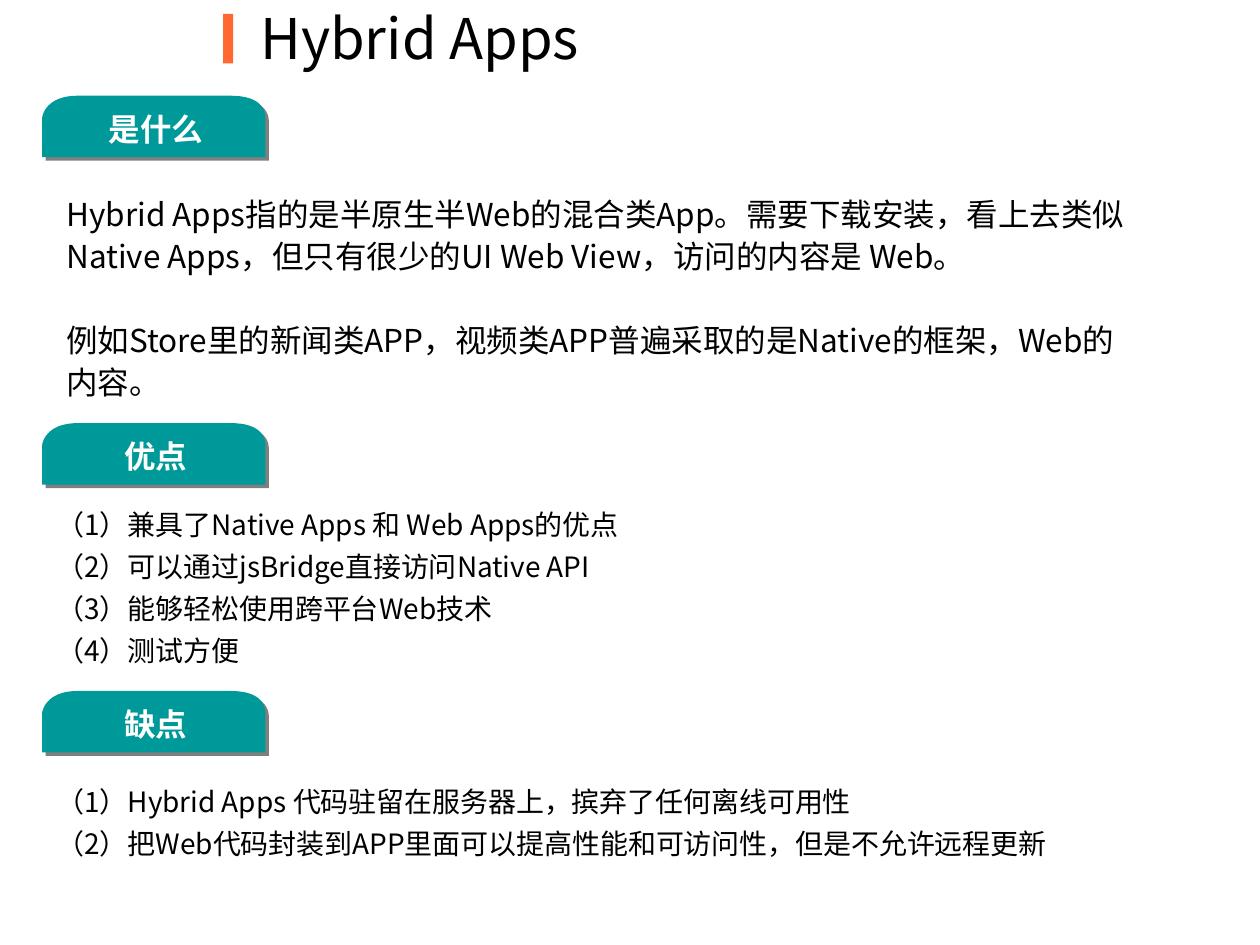
from lxml import etree
from pptx import Presentation
from pptx.dml.color import RGBColor
from pptx.enum.shapes import MSO_SHAPE as Preset
from pptx.enum.text import MSO_ANCHOR as Anchor, PP_ALIGN as Align
from pptx.oxml import parse_xml
from pptx.oxml.ns import nsdecls, qn
from pptx.util import Cm, Pt

FONT = "Noto Sans CJK SC"
COLORS = {"accent": "FF682F", "tab": "009999", "text": "000000",
          "label": "FFFFFF", "shadow": "000000"}

TAB_LEFT, TAB_WIDTH, TAB_HEIGHT = 0.85, 4.5, 1.24
LINE = Pt(24)

# heading, tab top, body box (left, top, width, height), size, gap, paragraphs
SECTIONS = [
    ("是什么", 1.93, (1.09, 3.73, 22, 4.52), 18, LINE, [
        "Hybrid Apps指的是半原生半Web的混合类App。需要下载安装，看上去类似"
        "Native Apps，但只有很少的UI Web View，访问的内容是 Web。",
        "例如Store里的新闻类APP，视频类APP普遍采取的是Native的框架，Web的内容。"]),
    ("优点", 8.53, (0.89, 9.93, 14.4, 3.68), 16, Pt(0), [
        "（1）兼具了Native Apps 和 Web Apps的优点",
        "（2）可以通过jsBridge直接访问Native API",
        "（3）能够轻松使用跨平台Web技术",
        "（4）测试方便"]),
    ("缺点", 13.93, (0.89, 15.52, 23.8, 1.96), 16, Pt(0), [
        "（1）Hybrid Apps 代码驻留在服务器上，摈弃了任何离线可用性",
        "（2）把Web代码封装到APP里面可以提高性能和可访问性，但是不允许远程更新"]),
]


def set_fill(shape, color):
    shape.fill.solid()
    shape.fill.fore_color.rgb = RGBColor.from_string(COLORS[color])
    shape.line.fill.background()
    shape.shadow.inherit = False


def style(paragraph, size, color="text", bold=False):
    """Set the font for both Latin and East Asian characters."""
    font = paragraph.font
    font.name, font.size, font.bold = FONT, Pt(size), bold
    font.color.rgb = RGBColor.from_string(COLORS[color])
    latin = font._element.find(qn("a:latin"))
    east_asian = etree.Element(qn("a:ea"), typeface=FONT)
    latin.addnext(east_asian)


def add_text(shapes, box, lines, size, color="text", bold=False):
    frame = shapes.add_textbox(*map(Cm, box)).text_frame
    frame.word_wrap = True
    frame.text = "\n".join(lines)
    for paragraph in frame.paragraphs:
        style(paragraph, size, color, bold)
    return frame


def curve(start, control1, control2, end, steps=16):
    """Points along a cubic Bezier curve, without its start."""
    return [tuple((1 - t) ** 3 * a + 3 * (1 - t) ** 2 * t * b
                  + 3 * (1 - t) * t ** 2 * c + t ** 3 * d
                  for a, b, c, d in zip(start, control1, control2, end))
            for t in (step / steps for step in range(1, steps + 1))]


def add_shadow(shape):
    effects = shape._element.spPr.find(qn("a:effectLst"))
    effects.append(parse_xml(
        f'<a:outerShdw {nsdecls("a")} dist="{Pt(2.8)}" dir="2700000" '
        f'algn="ctr" rotWithShape="0"><a:srgbClr val="{COLORS["shadow"]}">'
        '<a:alpha val="50000"/></a:srgbClr></a:outerShdw>'))


def add_tab(slide, heading, top):
    """A heading on a tab with rounded upper corners."""
    group = slide.shapes.add_group_shape()
    outline = [(0, TAB_HEIGHT), (TAB_WIDTH, TAB_HEIGHT), (TAB_WIDTH, 0.46)]
    outline += curve(outline[-1], (TAB_WIDTH, 0.3), (4.43, 0), (3.79, 0))
    outline.append((0.72, 0))
    outline += curve(outline[-1], (0.08, 0), (-0.01, 0.4), (0, 0.48))
    points = [(Cm(TAB_LEFT + x), Cm(top + y)) for x, y in outline]
    builder = group.shapes.build_freeform(*points[0])
    builder.add_line_segments(points[1:])
    tab = builder.convert_to_shape()
    set_fill(tab, "tab")
    add_shadow(tab)

    label = add_text(group.shapes, (TAB_LEFT + 0.25, top + 0.15, 4.09, 1.02),
                     [heading], 18, "label", True)
    label.vertical_anchor = Anchor.MIDDLE
    label.paragraphs[0].alignment = Align.CENTER


def add_body(slide, box, size, gap, lines):
    frame = add_text(slide.shapes, box, lines, size)
    for index, paragraph in enumerate(frame.paragraphs):
        paragraph.line_spacing = LINE
        paragraph.space_before = gap if index else Pt(0)


def add_title(slide, title):
    bar = slide.shapes.add_shape(Preset.RECTANGLE, Cm(4.5), Cm(0.28),
                                 Cm(0.2), Cm(1))
    set_fill(bar, "accent")
    add_text(slide.shapes, (5, -0.05, 17.5, 1.63), [title], 32)


def main():
    deck = Presentation()
    deck.slide_width, deck.slide_height = Cm(25.4), Cm(19.05)
    slide = deck.slides.add_slide(deck.slide_layouts[6])
    add_title(slide, "Hybrid Apps")
    for heading, top, box, size, gap, lines in SECTIONS:
        add_tab(slide, heading, top)
        add_body(slide, box, size, gap, lines)
    deck.save("out.pptx")


if __name__ == "__main__":
    main()
